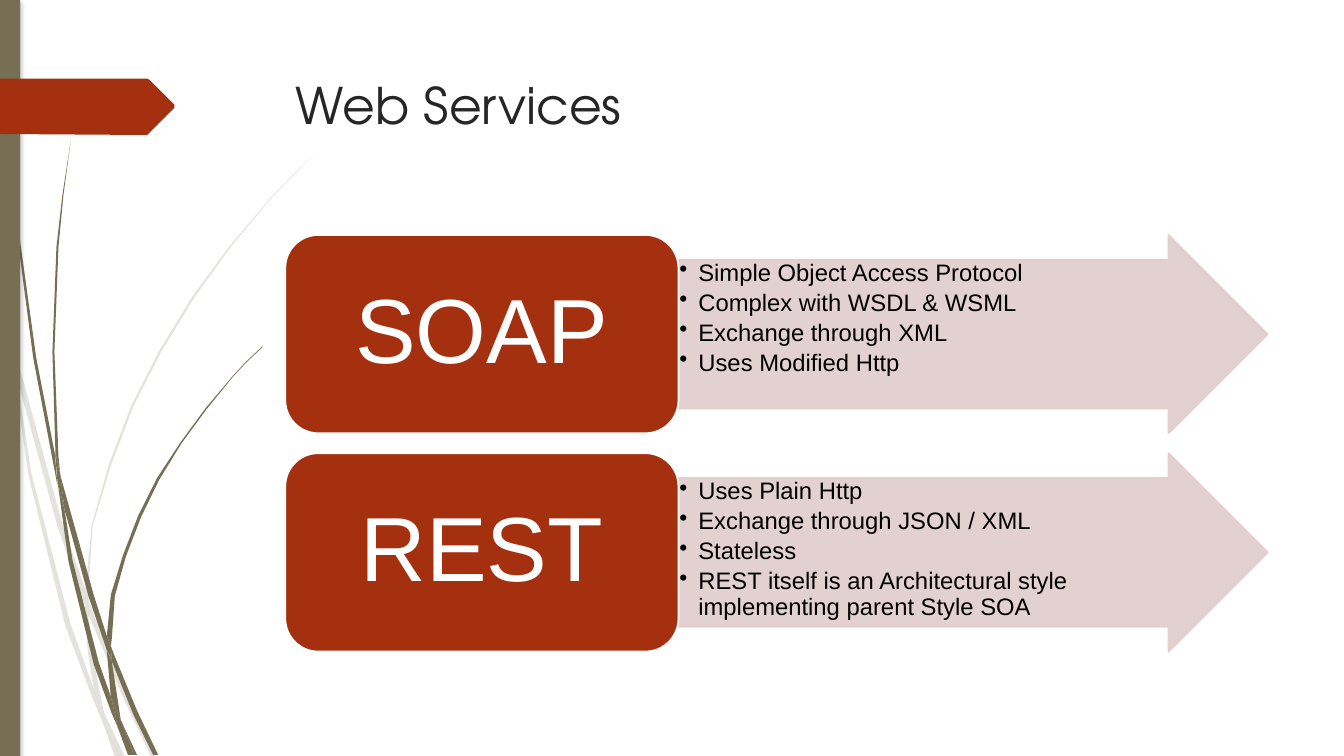
from dataclasses import dataclass

from lxml import etree
from pptx import Presentation
from pptx.dml.color import RGBColor
from pptx.enum.shapes import MSO_SHAPE
from pptx.enum.text import MSO_ANCHOR, PP_ALIGN
from pptx.oxml.ns import qn
from pptx.util import Cm, Pt

RECT, ROUND_RECT, ARROW = MSO_SHAPE.RECTANGLE, MSO_SHAPE.ROUNDED_RECTANGLE, MSO_SHAPE.RIGHT_ARROW
TOP, MIDDLE = MSO_ANCHOR.TOP, MSO_ANCHOR.MIDDLE
LEFT, CENTER = PP_ALIGN.LEFT, PP_ALIGN.CENTER


@dataclass(frozen=True)
class Theme:
    olive: RGBColor = RGBColor.from_string("766F54")
    rust: RGBColor = RGBColor.from_string("A53010")
    blush: RGBColor = RGBColor.from_string("E1CDCC")
    white: RGBColor = RGBColor.from_string("FFFFFF")
    black: RGBColor = RGBColor.from_string("000000")
    ink: RGBColor = RGBColor.from_string("262626")
    title_font: str = "TeX Gyre Adventor"
    body_font: str = "Arial"
    title_size: Pt = Pt(36)
    label_size: Pt = Pt(65)
    bullet_size: Pt = Pt(17)


THEME = Theme()

# Outlines are x y pairs on a fine grid
GRID = Cm(0.0254)
TAG = "173 107 148 132 146 134 0 133 0 78 146 78 148 79 173 104"
PALE_GRASS = (
    "11 350 8 322 0 282 0 299 10 344",
    "57 522 84 599 85 586 62 520 14 345 17 376",
    "92 607 88 596 88 610 123 694 150 751 155 751 127 691",
    "119 751 124 751 105 711",
    "93 683 70 619 31 469 17 376 11 350 28 470 65 621 92 693 101 714 99 707",
    "84 599 87 646 93 683 96 692 105 711 103 706 91 646 88 610 88 608",
    "88 584 92 522 110 462 132 404 160 349 193 295 229 245 268 198 290 175 312 153 "
    "289 175 268 197 228 244 191 294 158 348 130 403 108 461 91 521 85 584 85 586 88 596",
    "101 714 114 751 119 751",
    "88 608 88 610 88 596 85 586 84 599",
    "96 692 93 683 99 707 101 714 119 751 105 711",
)
OLIVE_GRASS = (
    "7 110 17 233 33 355 56 476 57 481 55 457 55 453 36 355 19 232 8 109 5 48 4 0 3 0 4 48",
    "88 592 106 645 106 633 106 631 93 590 60 472 64 505",
    "113 649 110 641 111 656 132 708 152 749 157 749 136 705",
    "110 691 98 657 72 556 64 505 57 477 68 557 93 659 111 708 117 722 116 717",
    "60 472 58 453 54 349 58 245 63 193 70 141 62 193 56 245 52 349 55 449 60 471",
    "133 749 136 749 122 719",
    "57 477 64 505 60 472 55 449 55 453",
    "111 633 114 591 125 552 140 513 158 476 180 440 205 406 231 374 245 359 261 344 260 344 "
    "245 358 231 373 204 405 179 439 156 474 137 512 122 551 110 590 106 631 110 641",
    "117 722 127 749 131 749",
    "106 645 110 691 116 706 122 719 120 715 111 656 109 651",
    "106 645 109 650 111 656 110 641 106 631 106 633",
    "116 706 110 691 116 717 117 722 130 749 133 749 122 719",
)

# Each service: name and its traits
SERVICES = (
    ("SOAP", ("Simple Object Access Protocol", "Complex with WSDL & WSML",
              "Exchange through XML", "Uses Modified Http")),
    ("REST", ("Uses Plain Http", "Exchange through JSON / XML", "Stateless",
              "REST itself is an Architectural style implementing parent Style SOA")),
)


def paint(sp, fill, line=None, opacity=100):
    """Give a shape its fill, line and opacity, without a shadow."""
    sp.shadow.inherit = False
    sp.fill.solid()
    sp.fill.fore_color.rgb = fill
    if line is None:
        sp.line.fill.background()
    else:
        sp.line.color.rgb = line
        sp.line.width = Pt(1.25)
    if opacity < 100:
        for color in sp._element.spPr.iter(qn("a:srgbClr")):
            etree.SubElement(color, qn("a:alpha"), val=str(opacity * 1000))
    return sp


def add_outline(s, outline, fill, opacity=100):
    numbers = [int(n) for n in outline.split()]
    points = list(zip(numbers[::2], numbers[1::2]))
    builder = s.shapes.build_freeform(*points[0], scale=GRID)
    builder.add_line_segments(points[1:], close=True)
    paint(builder.convert_to_shape(), fill, opacity=opacity)


def add_shape(s, kind, left, top, width, height, fill, **look):
    sp = s.shapes.add_shape(kind, Cm(left), Cm(top), Cm(width), Cm(height))
    return paint(sp, fill, **look)


def set_frame(tf, anchor, side, edge):
    tf.word_wrap = True
    tf.vertical_anchor = anchor
    tf.margin_left = tf.margin_right = Cm(side)
    tf.margin_top = tf.margin_bottom = Cm(edge)


def add_text(p, text, font, size, color, align=LEFT):
    p.alignment = align
    r = p.add_run()
    r.text = text
    r.font.name, r.font.size, r.font.color.rgb = font, size, color


def set_bullet(p):
    p.level = 1
    pPr = p._p.get_or_add_pPr()
    pPr.set("marL", str(Cm(0.48)))
    pPr.set("indent", str(-Cm(0.48)))
    etree.SubElement(pPr, qn("a:buChar"), char="•")
    p.line_spacing = 0.9
    p.space_after = Pt(3)


def add_side_bar(s):
    sp = add_shape(s, RECT, 0, 0, 0.51, 19.05, THEME.olive)
    effects = sp._element.spPr.find(qn("a:effectLst"))
    shadow = etree.SubElement(effects, qn("a:outerShdw"), blurRad=str(Pt(3)),
                              dist=str(Pt(2)), dir="5400000", rotWithShape="0")
    color = etree.SubElement(shadow, qn("a:srgbClr"), val=str(THEME.black))
    etree.SubElement(color, qn("a:alpha"), val="25000")


def add_title(s, text):
    tf = s.shapes.add_textbox(Cm(7.21), Cm(1.73), Cm(24.77), Cm(3.56)).text_frame
    set_frame(tf, TOP, 0.25, 0.13)
    add_text(tf.paragraphs[0], text, THEME.title_font, THEME.title_size, THEME.ink)


def add_service(s, top, name, traits):
    # Arrow with the traits
    arrow = add_shape(s, ARROW, 17.09, top, 14.86, 5, THEME.blush, line=THEME.blush, opacity=90)
    arrow.adjustments[0], arrow.adjustments[1] = 0.75, 0.5
    tf = arrow.text_frame
    set_frame(tf, TOP, 0.03, 0.03)
    for i, trait in enumerate(traits):
        p = tf.add_paragraph() if i else tf.paragraphs[0]
        set_bullet(p)
        add_text(p, trait, THEME.body_font, THEME.bullet_size, THEME.black)
    # Label with the name
    label = add_shape(s, ROUND_RECT, 7.19, top, 9.91, 5, THEME.rust, line=THEME.white)
    tf = label.text_frame
    set_frame(tf, MIDDLE, 0.69, 0.35)
    p = tf.paragraphs[0]
    p.line_spacing = 0.9
    add_text(p, name, THEME.body_font, THEME.label_size, THEME.white, CENTER)


def main():
    prs = Presentation()
    prs.slide_width, prs.slide_height = Cm(33.87), Cm(19.05)
    s = prs.slides.add_slide(prs.slide_layouts[6])

    # Decoration on the left
    for blade in PALE_GRASS:
        add_outline(s, blade, THEME.olive, opacity=20)
    for blade in OLIVE_GRASS:
        add_outline(s, blade, THEME.olive)
    add_side_bar(s)
    add_outline(s, TAG, THEME.rust)

    # Content
    add_title(s, "Web Services")
    for row, (name, traits) in enumerate(SERVICES):
        add_service(s, 5.92 + 5.5 * row, name, traits)

    prs.save("out.pptx")


if __name__ == "__main__":
    main()
